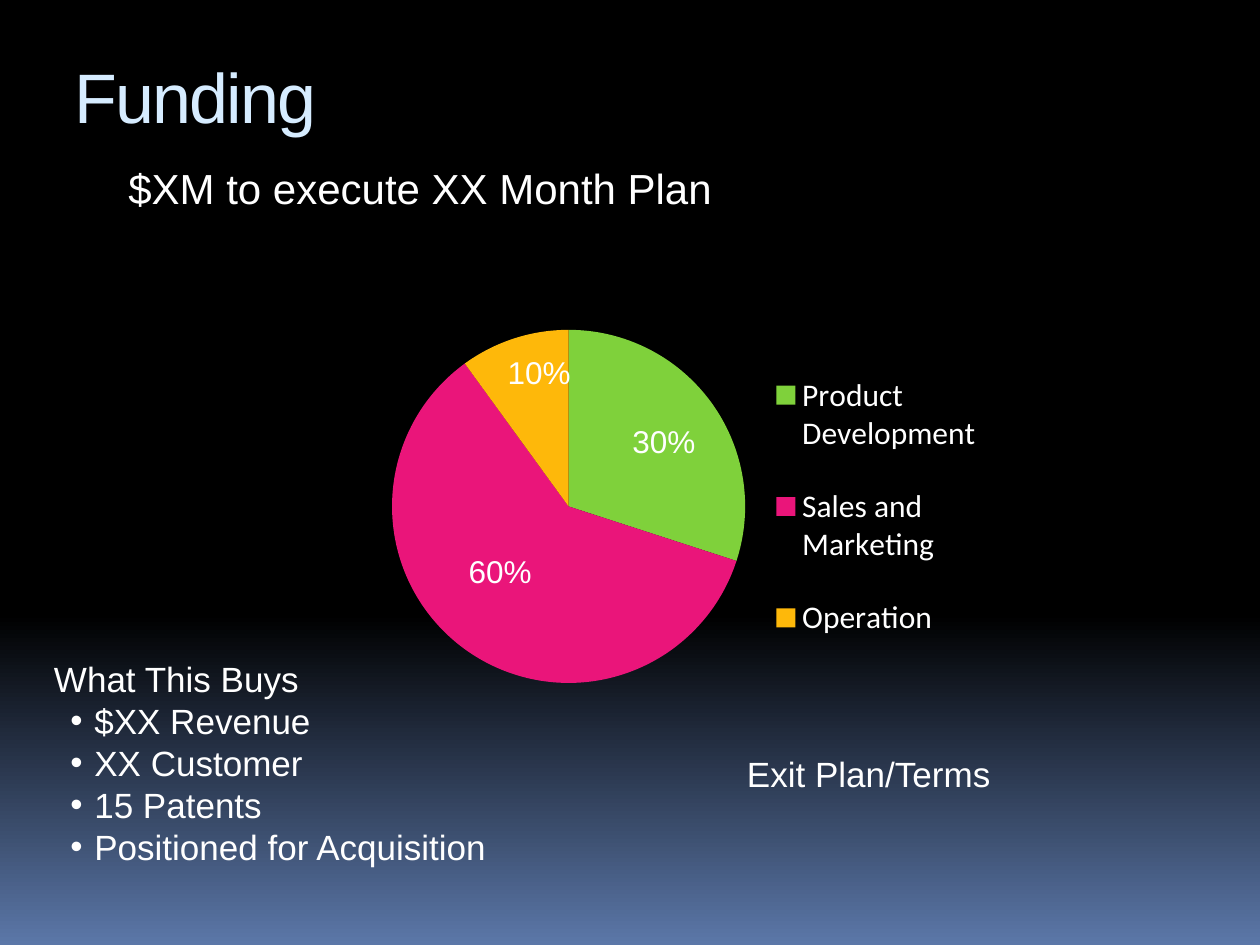
from copy import deepcopy
from lxml import etree
from pptx import Presentation
from pptx.chart.data import CategoryChartData
from pptx.dml.color import RGBColor
from pptx.enum.chart import XL_CHART_TYPE as ChartType, XL_LEGEND_POSITION as LegendPos
from pptx.enum.text import MSO_ANCHOR as Anchor, PP_ALIGN as Align
from pptx.oxml.ns import qn
from pptx.util import Inches, Pt

W, H = 10, 7.5
BLACK = RGBColor(0x00, 0x00, 0x00)
BLUE = RGBColor(0x5B, 0x77, 0xA8)
ICE = RGBColor(0xD6, 0xEC, 0xFF)
WHITE = RGBColor(0xFF, 0xFF, 0xFF)
GREEN = RGBColor(0x7F, 0xD1, 0x3B)
PINK = RGBColor(0xEA, 0x15, 0x7A)
AMBER = RGBColor(0xFE, 0xB8, 0x0A)

# Category, share in percent, colour, left and top of its label
SHARES = [
    ("Product Development", 30, GREEN, 4.92, 3.3),
    ("Sales and Marketing", 60, PINK, 3.62, 4.33),
    ("Operation", 10, AMBER, 3.93, 2.75),
]
BUYS = ["$XX Revenue", "XX Customer", "15 Patents", "Positioned for Acquisition"]


def box_at(left, top, width, height):
    """Box in inches, as shares of the slide's size."""
    return left / W, top / H, width / W, height / H


def to_emu(box):
    x, y, w, h = box
    return Inches(x * W), Inches(y * H), Inches(w * W), Inches(h * H)


def add_run(p, text, size, color=WHITE):
    r = p.add_run()
    r.text = text
    r.font.size, r.font.name = Pt(size), "Arial"
    r.font.color.rgb = color
    return r


def paint_background(s):
    fill = s.background.fill
    fill.gradient()
    fill.gradient_angle = 270
    stops = s.element.find(".//" + qn("a:gsLst"))
    stops.insert(1, deepcopy(stops[0]))
    for stop, (pos, color) in zip(fill.gradient_stops,
                                  [(0, BLACK), (0.65, BLACK), (1, BLUE)]):
        stop.position = pos
        stop.color.rgb = color


def place_title(s, box, text):
    title = s.shapes.title
    title.left, title.top, title.width, title.height = to_emu(box)
    tf = title.text_frame
    tf.vertical_anchor = Anchor.MIDDLE
    p = tf.paragraphs[0]
    p.alignment = Align.LEFT
    r = add_run(p, text, 40, ICE)
    r.font._element.set("spc", "-100")


def add_text(s, box, lines, size, wrap=True):
    """Text box; every line after the first is a bullet."""
    tf = s.shapes.add_textbox(*to_emu(box)).text_frame
    tf.word_wrap = wrap
    for i, line in enumerate(lines):
        p = tf.add_paragraph() if i else tf.paragraphs[0]
        p.line_spacing = Pt(size * 1.2)
        add_run(p, line, size)
        if i:
            pPr = p._p.get_or_add_pPr()
            pPr.set("marL", str(Inches(0.32)))
            pPr.set("indent", str(Inches(-0.19)))
            etree.SubElement(pPr, qn("a:buFont")).set("typeface", "Arial")
            etree.SubElement(pPr, qn("a:buChar")).set("char", "•")


def set_layout(parent, index, x, y, w, h, inner=False):
    """Fix a chart part's place, in shares of the chart's size."""
    for old in parent.findall(qn("c:layout")):
        parent.remove(old)
    layout = etree.Element(qn("c:layout"))
    manual = etree.SubElement(layout, qn("c:manualLayout"))
    values = [("layoutTarget", "inner")] if inner else []
    values += [("xMode", "edge"), ("yMode", "edge"),
               ("x", x), ("y", y), ("w", w), ("h", h)]
    for tag, value in values:
        etree.SubElement(manual, qn("c:" + tag)).set("val", str(value))
    parent.insert(index, layout)


def add_pie(s, box):
    data = CategoryChartData()
    data.categories = [share[0] for share in SHARES]
    data.add_series("Series 1", [share[1] for share in SHARES])
    chart = s.shapes.add_chart(ChartType.PIE, *to_emu(box), data).chart
    chart.has_title = False
    chart.font.size, chart.font.name = Pt(18), "Calibri"
    chart.font.color.rgb = WHITE
    chart.has_legend = True
    chart.legend.position = LegendPos.RIGHT
    chart.legend.include_in_layout = False
    plot = chart.plots[0]
    plot.vary_by_categories = True
    for i, share in enumerate(SHARES):
        fill = plot.series[0].points[i].format.fill
        fill.solid()
        fill.fore_color.rgb = share[2]
    area = chart.element.find(".//" + qn("c:plotArea"))
    set_layout(area, 0, 0.03, 0.18, 0.57, 0.64, inner=True)
    set_layout(chart.legend._element, 1, 0.63, 0.2, 0.36, 0.6)
    # Percent labels over the slices
    for _, value, _, left, top in SHARES:
        add_text(s, box_at(left, top, 0.71, 0.4), [f"{value}%"], 18, wrap=False)


def main():
    prs = Presentation()
    prs.slide_width, prs.slide_height = Inches(W), Inches(H)
    s = prs.slides.add_slide(prs.slide_layouts[5])
    paint_background(s)
    place_title(s, box_at(0.49, 0.35, 4.26, 0.82), "Funding")
    add_text(s, box_at(0.92, 1.24, 6.08, 0.5), ["$XM to execute XX Month Plan"], 24)
    add_pie(s, box_at(2.96, 1.83, 4.93, 4.38))
    add_text(s, box_at(0.33, 5.17, 5.09, 1.78), ["What This Buys", *BUYS], 20)
    add_text(s, box_at(5.83, 5.92, 3.52, 0.44), ["Exit Plan/Terms"], 20)
    prs.save("out.pptx")


if __name__ == "__main__":
    main()
